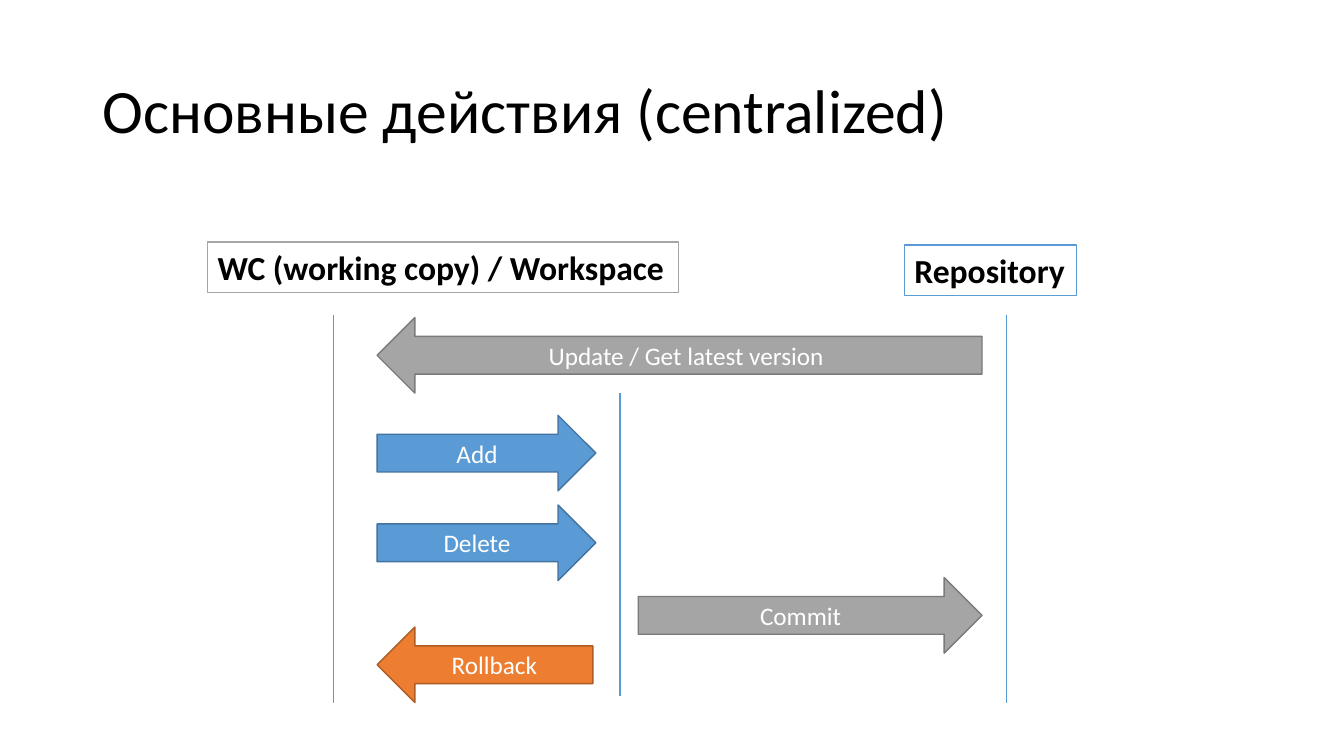
from dataclasses import dataclass

from lxml import etree
from pptx import Presentation
from pptx import util as u
from pptx.dml.color import RGBColor
from pptx.enum import shapes, text
from pptx.oxml.ns import qn

PX = 9144  # 100 px to the inch
FONT = "Calibri"
BLACK = RGBColor(0x00, 0x00, 0x00)
WHITE = RGBColor(0xFF, 0xFF, 0xFF)
BLUE = RGBColor(0x5B, 0x9B, 0xD5)
DARK_BLUE = RGBColor(0x43, 0x73, 0x9E)
GREY = RGBColor(0xA5, 0xA5, 0xA5)
DARK_GREY = RGBColor(0x7A, 0x7A, 0x7A)
ORANGE = RGBColor(0xED, 0x7D, 0x31)
DARK_ORANGE = RGBColor(0xAF, 0x5C, 0x24)

RECTANGLE = shapes.MSO_SHAPE.RECTANGLE
LEFT = shapes.MSO_SHAPE.LEFT_ARROW
RIGHT = shapes.MSO_SHAPE.RIGHT_ARROW
ARROW_HEIGHT = 75
LABEL_HEIGHT = 50
WORKSPACE_X = 374


@dataclass(frozen=True)
class Lifeline:
    x: int
    top: int
    bottom: int


@dataclass(frozen=True)
class Label:
    words: str
    left: int
    top: int
    width: int
    border: RGBColor


@dataclass(frozen=True)
class Action:
    words: str
    kind: shapes.MSO_SHAPE
    left: int
    top: int
    width: int
    fill: RGBColor
    border: RGBColor


LIFELINES = [
    Lifeline(615, 390, 690),
    Lifeline(331, 313, 697),
    Lifeline(998, 313, 697),
]
LABELS = [
    Label("Repository", 897, 243, 171, BLUE),
    Label("WC (working copy) / Workspace", 206, 240, 467, GREY),
]
ACTIONS = [
    Action("Update / Get latest version ", LEFT, WORKSPACE_X, 315, 600, GREY, DARK_GREY),
    Action("Add", RIGHT, WORKSPACE_X, 412, 217, BLUE, DARK_BLUE),
    Action("Delete", RIGHT, WORKSPACE_X, 501, 217, BLUE, DARK_BLUE),
    Action("Commit", RIGHT, 633, 573, 341, GREY, DARK_GREY),
    Action("Rollback", LEFT, WORKSPACE_X, 622, 214, ORANGE, DARK_ORANGE),
]


def px(*lengths: int) -> list[u.Emu]:
    return [u.Emu(length * PX) for length in lengths]


def write(box, words: str, size: int, color: RGBColor, align, bold: bool = False):
    """Put one formatted run in the box and return its paragraph."""
    para = box.text_frame.paragraphs[0]
    para.alignment = align
    span = para.add_run()
    span.text = words
    span.font.name = FONT
    span.font.size = u.Pt(size)
    span.font.bold = bold
    span.font.color.rgb = color
    return para


def add_title(page, words: str) -> None:
    box = page.shapes.title
    box.left, box.top, box.width, box.height = px(92, 40, 1150, 145)
    box.text_frame.vertical_anchor = text.MSO_ANCHOR.MIDDLE
    box.text_frame.auto_size = text.MSO_AUTO_SIZE.NONE
    write(box, words, 44, BLACK, text.PP_ALIGN.LEFT).line_spacing = 0.9


def add_lifeline(page, lifeline: Lifeline) -> None:
    line = page.shapes.add_connector(
        shapes.MSO_CONNECTOR.STRAIGHT,
        *px(lifeline.x, lifeline.top, lifeline.x, lifeline.bottom),
    )
    line.line.color.rgb = BLUE
    line.line.width = u.Pt(1)
    etree.SubElement(line._element.spPr, qn("a:effectLst"))


def add_box(page, kind, bounds: tuple[int, int, int, int], fill: RGBColor, border: RGBColor):
    box = page.shapes.add_shape(kind, *px(*bounds))
    box.shadow.inherit = False
    box.fill.solid()
    box.fill.fore_color.rgb = fill
    box.line.color.rgb = border
    box.line.width = u.Pt(1)
    return box


def add_label(page, label: Label) -> None:
    bounds = (label.left, label.top, label.width, LABEL_HEIGHT)
    box = add_box(page, RECTANGLE, bounds, WHITE, label.border)
    frame = box.text_frame
    frame.word_wrap = False
    frame.auto_size = text.MSO_AUTO_SIZE.SHAPE_TO_FIT_TEXT
    frame.vertical_anchor = text.MSO_ANCHOR.TOP
    write(box, label.words, 24, BLACK, text.PP_ALIGN.LEFT, bold=True)


def add_action(page, action: Action) -> None:
    bounds = (action.left, action.top, action.width, ARROW_HEIGHT)
    box = add_box(page, action.kind, bounds, action.fill, action.border)
    box.text_frame.vertical_anchor = text.MSO_ANCHOR.MIDDLE
    write(box, action.words, 18, WHITE, text.PP_ALIGN.CENTER)


def main() -> None:
    deck = Presentation()
    deck.slide_width, deck.slide_height = px(1333, 750)
    page = deck.slides.add_slide(deck.slide_layouts.get_by_name("Title Only"))
    add_title(page, "Основные действия (centralized)")
    for lifeline in LIFELINES:
        add_lifeline(page, lifeline)
    for label in LABELS:
        add_label(page, label)
    for action in ACTIONS:
        add_action(page, action)
    deck.save("out.pptx")


if __name__ == "__main__":
    main()
